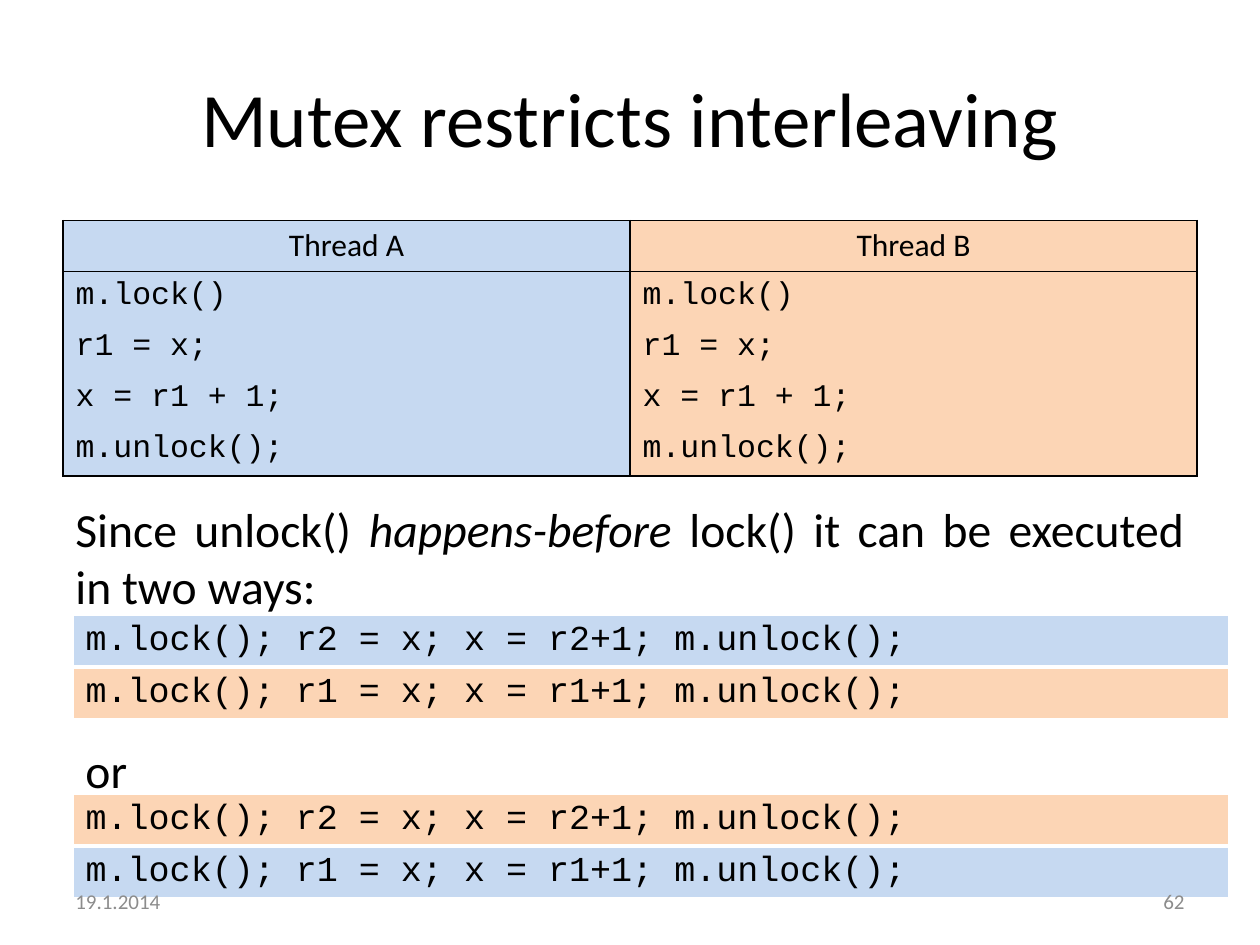
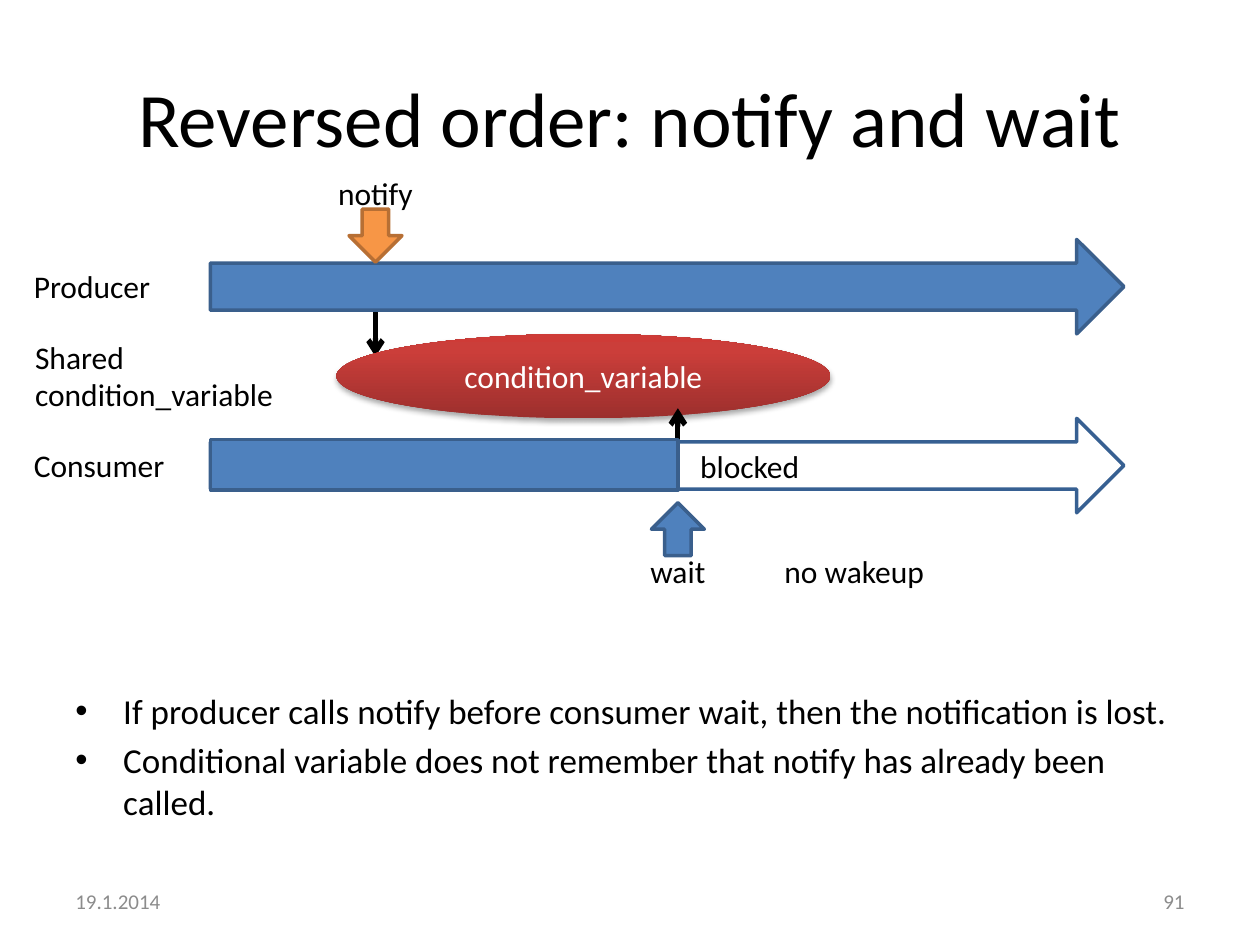
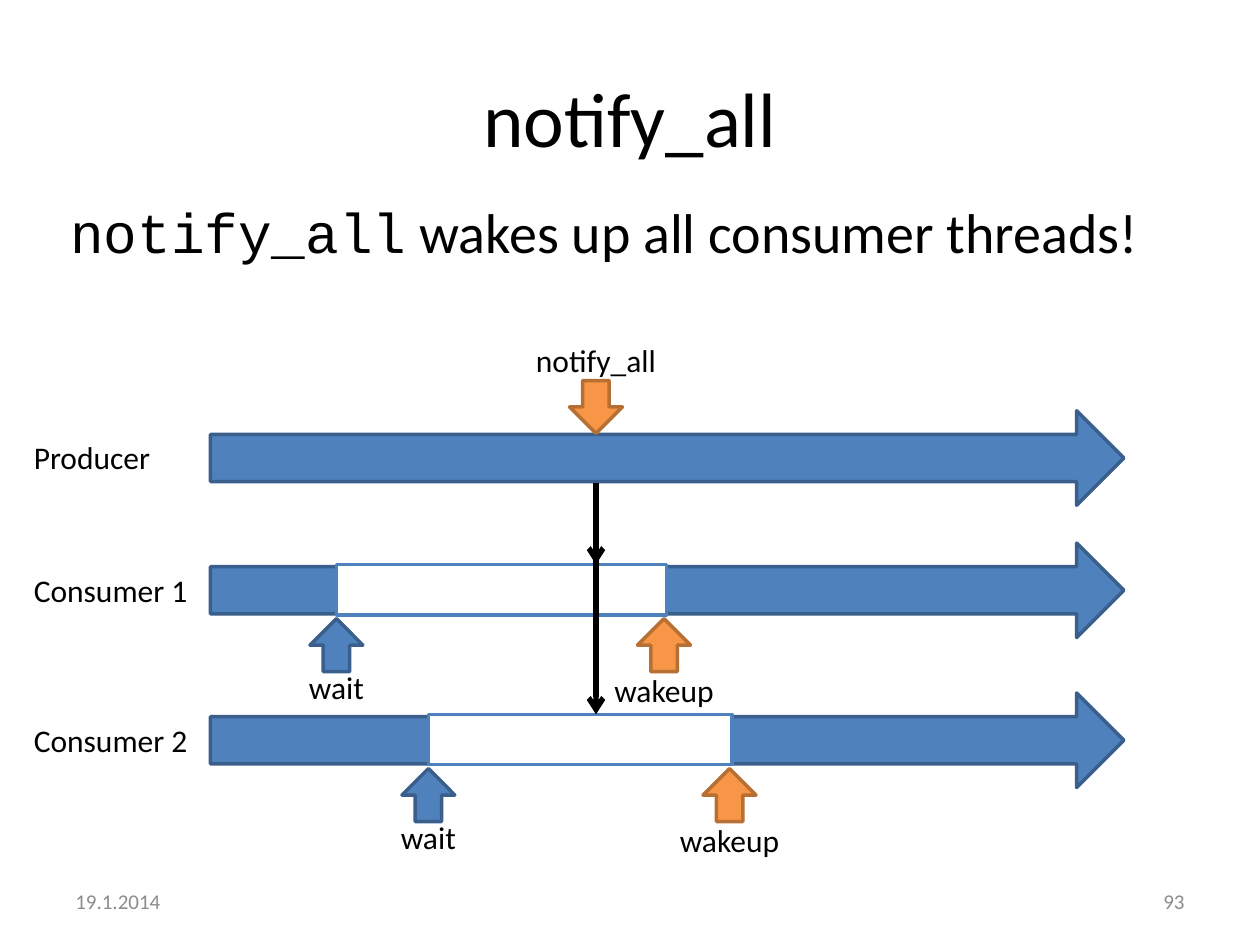
from copy import deepcopy

from lxml import etree
from pptx import Presentation
from pptx.dml.color import RGBColor
from pptx.enum import shapes, text
from pptx.oxml.ns import qn
from pptx.util import Inches, Pt

# Shared look
SANS, MONO = "Calibri", "Courier New"
BLACK = RGBColor(0x00, 0x00, 0x00)
WHITE = RGBColor(0xFF, 0xFF, 0xFF)
GREY = RGBColor(0x8C, 0x8C, 0x8C)
PALE_BLUE = RGBColor(0xC6, 0xD9, 0xF1)
PALE_ORANGE = RGBColor(0xFC, 0xD5, 0xB5)
BLUE = RGBColor(0x4F, 0x81, 0xBD)
BLUE_EDGE = RGBColor(0x3A, 0x5F, 0x8C)
OPEN_EDGE = RGBColor(0x37, 0x60, 0x92)
ORANGE = RGBColor(0xF7, 0x96, 0x46)
ORANGE_EDGE = RGBColor(0xB7, 0x6F, 0x34)
REDS = [(0, RGBColor(0x9C, 0x2F, 0x2D)), (0.8, RGBColor(0xCB, 0x3E, 0x3A)),
        (1, RGBColor(0xCE, 0x3B, 0x37))]
SOLID_BLUE = (BLUE, BLUE_EDGE)
SOLID_ORANGE = (ORANGE, ORANGE_EDGE)
LEFT, CENTER, RIGHT, JUSTIFY = (text.PP_ALIGN.LEFT, text.PP_ALIGN.CENTER,
                                text.PP_ALIGN.RIGHT, text.PP_ALIGN.JUSTIFY)
TOP, MIDDLE = text.MSO_ANCHOR.TOP, text.MSO_ANCHOR.MIDDLE
SHAPE = shapes.MSO_SHAPE

# Content
DATE = "19.1.2014"
THREADS = [("Thread A", PALE_BLUE), ("Thread B", PALE_ORANGE)]
THREAD_CODE = ["m.lock()", "r1 = x;", "x = r1 + 1;", "m.unlock();"]
RUN_CODE = ["m.lock(); r2 = x; x = r2+1; m.unlock();",
            "m.lock(); r1 = x; x = r1+1; m.unlock();"]
RUN_ORDERS = [(4.88, (PALE_BLUE, PALE_ORANGE)), (6.3, (PALE_ORANGE, PALE_BLUE))]
TWO_WAYS = [("Since unlock() ", SANS, False), ("happens-before", SANS, True),
            (" lock() it can be executed in two ways:", SANS, False)]
LOST_NOTIFY = [
    "If producer calls notify before consumer wait, then the notification is lost.",
    "Conditional variable does not remember that notify has already been called."]
WAKES_ALL = [("notify_all", MONO, False), (" wakes up all consumer threads!", SANS, False)]
# Consumer name, lane top, wait time, wakeup time
CONSUMERS = [("Consumer 1", 4.31, 2.67, 5.27), ("Consumer 2", 5.5, 3.4, 5.79)]

# Time line geometry
LANE_LEFT, LANE_WIDTH, LANE_HEIGHT = 1.67, 7.25, 0.75
SPAN_OFFSET, SPAN_HEIGHT = 0.17, 0.4
MARKER = 0.42
LABEL_WIDTH, LABEL_HEIGHT = 1.5, 0.4


def plain(words, font=SANS):
    return [(words, font, False)]


def fill_frame(frame, paragraphs, size, align=LEFT, color=BLACK, bullet=False):
    for index, spans in enumerate(paragraphs):
        para = frame.paragraphs[0] if index == 0 else frame.add_paragraph()
        para.alignment = align
        if index:
            para.space_before = Pt(size / 5)
        if bullet:
            properties = para._p.get_or_add_pPr()
            properties.set("marL", str(Inches(0.38)))
            properties.set("indent", str(Inches(-0.38)))
            etree.SubElement(properties, qn("a:buFont")).set("typeface", "Arial")
            etree.SubElement(properties, qn("a:buChar")).set("char", "•")
        for words, font, italic in spans:
            span = para.add_run()
            span.text = words
            span.font.name, span.font.size = font, Pt(size)
            span.font.italic = italic
            span.font.color.rgb = color


def add_text(page, at, paragraphs, size=18, align=LEFT, anchor=TOP, **style):
    box = page.shapes.add_textbox(*map(Inches, at))
    box.text_frame.word_wrap = True
    box.text_frame.vertical_anchor = anchor
    fill_frame(box.text_frame, paragraphs, size, align, **style)


def add_page(deck, title, number, draw_content):
    """Draw the title, then the content, then the footer in front of it."""
    page = deck.slides.add_slide(deck.slide_layouts[6])
    add_text(page, (0.5, 0.3, 9, 1.25), [plain(title)], 44, CENTER, MIDDLE)
    draw_content(page)
    for left, words, align in ((0.5, DATE, LEFT), (7.17, str(number), RIGHT)):
        add_text(page, (left, 6.95, 2.33, 0.4), [plain(words)], 12, align, MIDDLE, color=GREY)


def add_shape(page, kind, at, fill=None, edge=None):
    shape = page.shapes.add_shape(kind, *map(Inches, at))
    shape.shadow.inherit = False
    if fill is not None:
        shape.fill.solid()
        shape.fill.fore_color.rgb = fill
    if edge is None:
        shape.line.fill.background()
    else:
        shape.line.color.rgb = edge
        shape.line.width = Pt(2)
    return shape


def label_shape(shape, words, color):
    shape.text_frame.vertical_anchor = MIDDLE
    fill_frame(shape.text_frame, [plain(words)], 18, CENTER, color)


def add_lane(page, name, top, colors=SOLID_BLUE):
    add_shape(page, SHAPE.RIGHT_ARROW, (LANE_LEFT, top, LANE_WIDTH, LANE_HEIGHT), *colors)
    add_text(page, (0.17, top + 0.17, LABEL_WIDTH, LABEL_HEIGHT), [plain(name)])


def add_span(page, lane_top, start, end, fill, edge):
    add_shape(page, SHAPE.RECTANGLE,
              (start, lane_top + SPAN_OFFSET, end - start, SPAN_HEIGHT), fill, edge)


def add_event(page, name, time, top, colors, label_shift):
    """Put a block arrow at a time; it points away from its label."""
    arrow = add_shape(page, SHAPE.DOWN_ARROW, (time - MARKER / 2, top, MARKER, MARKER), *colors)
    arrow.rotation = 180 if label_shift > 0 else 0
    add_text(page, (time - LABEL_WIDTH / 2, top + label_shift, LABEL_WIDTH, LABEL_HEIGHT),
             [plain(name)], align=CENTER)


def add_signal(page, time, start, end):
    line = page.shapes.add_connector(
        shapes.MSO_CONNECTOR.STRAIGHT, *map(Inches, (time, start, time, end)))
    line.line.color.rgb = BLACK
    line.line.width = Pt(3)
    etree.SubElement(line.line._get_or_add_ln(), qn("a:tailEnd")).set("type", "arrow")
    etree.SubElement(line._element.spPr, qn("a:effectLst"))


def set_borders(cell, color, **widths):
    """Draw the named sides in points and hide the others."""
    properties = cell._tc.get_or_add_tcPr()
    for index, side in enumerate(("left", "right", "top", "bottom")):
        width = widths.get(side, 0)
        line = etree.Element(qn("a:ln" + side[0].upper()), w=str(Pt(width)))
        if width:
            fill = etree.SubElement(line, qn("a:solidFill"))
            etree.SubElement(fill, qn("a:srgbClr")).set("val", str(color))
        else:
            etree.SubElement(line, qn("a:noFill"))
        properties.insert(index, line)


def add_table(page, rows, columns, at):
    table = page.shapes.add_table(rows, columns, *map(Inches, at)).table
    table.first_row = table.horz_banding = False
    return table


def fill_cell(cell, words, font, size, align, color):
    cell.fill.solid()
    cell.fill.fore_color.rgb = color
    fill_frame(cell.text_frame, [plain(words, font)], size, align)


def add_thread_table(page):
    last = len(THREAD_CODE)
    table = add_table(page, last + 1, len(THREADS), (0.5, 1.75, 9, 2.03))
    for column, (thread, color) in enumerate(THREADS):
        for row, words in enumerate([thread] + THREAD_CODE):
            cell = table.cell(row, column)
            font, align = (MONO, LEFT) if row else (SANS, CENTER)
            fill_cell(cell, words, font, 18, align, color)
            set_borders(cell, BLACK, left=1, right=1, top=int(row <= 1),
                        bottom=int(row in (0, last)))


def add_run_table(page, top, colors):
    table = add_table(page, len(RUN_CODE), 1, (0.58, top, 9.17, 0.8))
    for row, (words, color) in enumerate(zip(RUN_CODE, colors)):
        cell = table.cell(row, 0)
        cell.margin_bottom = Inches(0.03)
        fill_cell(cell, words, MONO, 20, JUSTIFY, color)
        set_borders(cell, WHITE, left=1, right=1, top=3 if row else 1, bottom=1 if row else 3)


def add_condition_variable(page):
    ellipse = add_shape(page, SHAPE.OVAL, (2.67, 2.65, 3.92, 0.67))
    label_shape(ellipse, "condition_variable", WHITE)
    # Three-stop gradient, dark at the bottom
    ellipse.fill.gradient()
    ellipse.fill.gradient_angle = 90
    stops = ellipse._element.spPr.find(qn("a:gradFill")).find(qn("a:gsLst"))
    stops.append(deepcopy(stops[-1]))
    for stop, (position, color) in zip(ellipse.fill.gradient_stops, REDS):
        stop.position = position
        stop.color.rgb = color
    # Soft shadow below
    effects = ellipse._element.spPr.find(qn("a:effectLst"))
    shadow = etree.SubElement(effects, qn("a:outerShdw"), blurRad=str(Pt(3.1)),
                              dist=str(Pt(1.8)), dir="5400000", rotWithShape="0")
    tint = etree.SubElement(shadow, qn("a:srgbClr"), val=str(BLACK))
    etree.SubElement(tint, qn("a:alpha"), val="35000")


def draw_mutex(page):
    add_thread_table(page)
    add_text(page, (0.5, 3.92, 9, 0.83), [TWO_WAYS], 27.2, JUSTIFY)
    add_text(page, (0.58, 5.83, 9, 0.5), [plain("or")], 27.2, JUSTIFY)
    for top, colors in RUN_ORDERS:
        add_run_table(page, top, colors)


def draw_reversed_order(page):
    add_text(page, (0.5, 5.42, 9, 1.28), [plain(words) for words in LOST_NOTIFY], 20, bullet=True)
    notify, wait, consumer_top = 2.98, 5.38, 3.32
    # Lanes
    add_signal(page, notify, 2.48, 2.83)
    add_lane(page, "Producer", 1.9)
    add_lane(page, "Consumer", consumer_top, (WHITE, OPEN_EDGE))
    blocked = add_shape(page, SHAPE.RECTANGLE, (4.67, 3.58, 2.56, 0.23), WHITE)
    label_shape(blocked, "blocked", BLACK)
    # Shared variable and the signals that reach it
    add_condition_variable(page)
    add_text(page, (0.18, 2.63, 2.12, 0.71), [plain("Shared condition_variable")])
    add_signal(page, wait, 3.49, 3.24)
    add_span(page, consumer_top, LANE_LEFT, wait, *SOLID_BLUE)
    # Events
    add_event(page, "notify", notify, 1.66, SOLID_ORANGE, -0.33)
    add_event(page, "wait", wait, 3.99, SOLID_BLUE, 0.34)
    add_text(page, (6.06, 4.33, 1.44, 0.4), [plain("no wakeup")], align=CENTER)


def draw_notify_all(page):
    add_text(page, (0.46, 1.52, 9, 0.83), [WAKES_ALL], 32)
    notify = 4.73
    add_lane(page, "Producer", 3.26)
    for name, top, wait, wakeup in CONSUMERS:
        add_lane(page, name, top)
        add_span(page, top, wait, wakeup + 0.02, WHITE, BLUE)
        add_event(page, "wait", wait, top + 0.6, SOLID_BLUE, 0.34)
        add_event(page, "wakeup", wakeup, top + 0.6, SOLID_ORANGE, 0.37)
    for name, top, wait, wakeup in CONSUMERS:
        add_signal(page, notify, 3.83, top + SPAN_OFFSET)
    add_event(page, "notify_all", notify, 3.02, SOLID_ORANGE, -0.36)


def main():
    deck = Presentation()
    deck.slide_width, deck.slide_height = Inches(10), Inches(7.5)
    add_page(deck, "Mutex restricts interleaving", 62, draw_mutex)
    add_page(deck, "Reversed order: notify and wait", 91, draw_reversed_order)
    add_page(deck, "notify_all", 93, draw_notify_all)
    deck.save("out.pptx")


if __name__ == "__main__":
    main()
